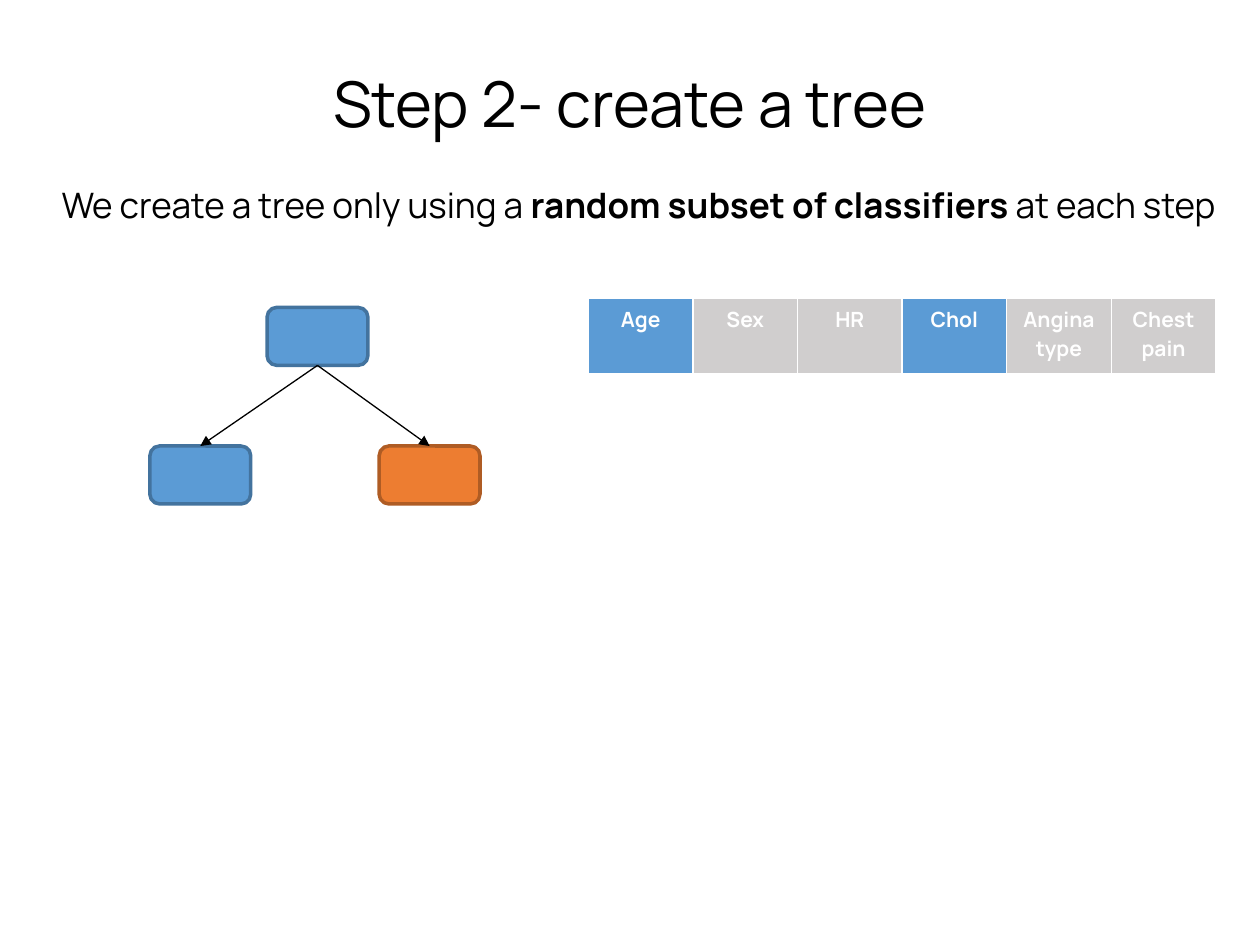
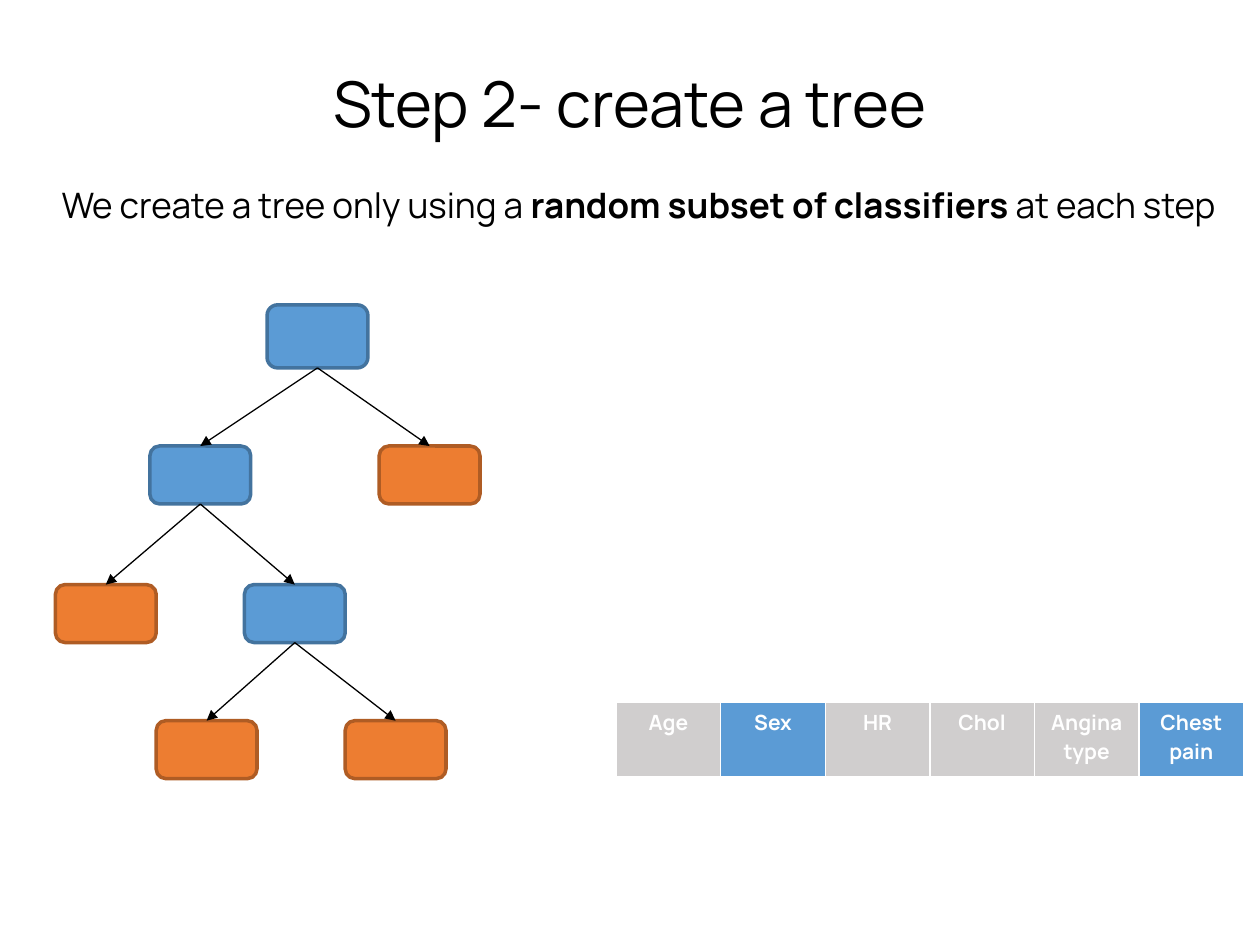
from dataclasses import dataclass

from lxml import etree
from pptx import Presentation
from pptx.dml.color import RGBColor
from pptx.enum.dml import MSO_FILL
from pptx.enum.shapes import MSO_CONNECTOR, MSO_SHAPE
from pptx.enum.text import MSO_AUTO_SIZE, PP_ALIGN
from pptx.oxml.ns import qn
from pptx.util import Inches, Pt

BLACK = RGBColor(0x00, 0x00, 0x00)
WHITE = RGBColor(0xFF, 0xFF, 0xFF)
BLUE = RGBColor(0x5B, 0x9B, 0xD5)
DARK_BLUE = RGBColor(0x43, 0x73, 0x9E)
ORANGE = RGBColor(0xED, 0x7D, 0x31)
DARK_ORANGE = RGBColor(0xAF, 0x5C, 0x24)
GREY = RGBColor(0xD0, 0xCE, 0xCE)
FONT = "Manrope"
CENTER = PP_ALIGN.CENTER
LEFT = PP_ALIGN.LEFT
FIT_SHAPE = MSO_AUTO_SIZE.SHAPE_TO_FIT_TEXT
ROUNDED = MSO_SHAPE.ROUNDED_RECTANGLE
STRAIGHT = MSO_CONNECTOR.STRAIGHT

TITLE = "Step 2- create a tree"
MESSAGE = [
    ("We create a tree only using a ", False),
    ("random subset of classifiers ", True),
    ("at each step", False),
]
CLASSIFIERS = ["Age", "Sex", "HR", "Chol", "Angina type", "Chest pain"]
COLUMN_WIDTH, ROW_HEIGHT = 0.83, 0.61
NODE_WIDTH, NODE_HEIGHT = 0.8, 0.46
TOP_SITE, BOTTOM_SITE = 0, 2
BORDERS = [("a:lnL", 0.96), ("a:lnR", 0.96), ("a:lnT", 0.96), ("a:lnB", 3)]


@dataclass
class Node:
    """A tree node: a leaf has no children."""

    center: float
    top: float
    children: tuple = ()
    leaf: bool = False
    height: float = NODE_HEIGHT


def style_span(span, size, color, bold=False):
    """Set the font of one run."""
    span.font.name = FONT
    span.font.size = Pt(size)
    span.font.bold = bold
    span.font.color.rgb = color


def add_text(page, place, spans, size, align=LEFT, wrap=True):
    """Add a one-paragraph text box made of (text, bold) spans."""
    box = page.shapes.add_textbox(*[Inches(length) for length in place])
    frame = box.text_frame
    frame.word_wrap = wrap
    frame.auto_size = FIT_SHAPE
    para = frame.paragraphs[0]
    para.alignment = align
    for text, bold in spans:
        span = para.add_run()
        span.text = text
        style_span(span, size, BLACK, bold)


def add_borders(cell):
    """Draw white borders around a table cell."""
    properties = cell._tc.get_or_add_tcPr()
    for position, (tag, width) in enumerate(BORDERS):
        line = etree.Element(qn(tag), w=str(Pt(width)))
        fill = etree.SubElement(line, qn("a:solidFill"))
        etree.SubElement(fill, qn("a:srgbClr"), val=str(WHITE))
        properties.insert(position, line)


def add_classifiers(page, left, top, chosen):
    """Add the row of classifiers with the chosen ones in blue."""
    count = len(CLASSIFIERS)
    frame = page.shapes.add_table(
        1, count, Inches(left), Inches(top),
        Inches(COLUMN_WIDTH * count), Inches(ROW_HEIGHT),
    )
    for cell, name in zip(frame.table.iter_cells(), CLASSIFIERS):
        cell.text = name
        cell.fill.solid()
        cell.fill.fore_color.rgb = BLUE if name in chosen else GREY
        para = cell.text_frame.paragraphs[0]
        para.alignment = CENTER
        style_span(para.runs[0], 12, WHITE, True)
        add_borders(cell)


def add_arrow(page, parent, child):
    """Connect the bottom of one box to the top of another."""
    arrow = page.shapes.add_connector(STRAIGHT, 0, 0, 0, 0)
    arrow.begin_connect(parent, BOTTOM_SITE)
    arrow.end_connect(child, TOP_SITE)
    arrow.line.color.rgb = BLACK
    arrow.line.width = Pt(0.75)
    etree.SubElement(arrow.line._get_or_add_ln(), qn("a:tailEnd"), type="triangle")
    etree.SubElement(arrow._element.spPr, qn("a:effectLst"))


def add_tree(page, node):
    """Add a node with everything below it and return its box."""
    box = page.shapes.add_shape(
        ROUNDED, Inches(node.center - NODE_WIDTH / 2), Inches(node.top),
        Inches(NODE_WIDTH), Inches(node.height),
    )
    box.shadow.inherit = False
    box.fill.solid()
    box.fill.fore_color.rgb = ORANGE if node.leaf else BLUE
    box.line.color.rgb = DARK_ORANGE if node.leaf else DARK_BLUE
    box.line.width = Pt(2)
    for child in node.children:
        add_arrow(page, box, add_tree(page, child))
    return box


def add_page(deck, table_place, chosen, tree):
    """Add a slide with heading, message, classifiers and tree."""
    page = deck.slides.add_slide(deck.slide_layouts[6])
    add_text(page, (0.13, 0.46, 9.74, 0.7), [(TITLE, False)], 36, CENTER)
    add_text(page, (0.39, 1.41, 9.36, 0.43), MESSAGE, 20, wrap=False)
    add_classifiers(page, *table_place, chosen)
    add_tree(page, tree)


def main():
    """Build and save the deck."""
    deck = Presentation()
    deck.slide_width, deck.slide_height = Inches(10), Inches(7.5)

    right_leaf = Node(3.41, 3.54, leaf=True)
    first_split = Node(2.52, 2.44, (Node(1.59, 3.54), right_leaf))
    add_page(deck, (4.67, 2.37), {"Age", "Chol"}, first_split)

    last_leaves = (Node(1.64, 5.72, leaf=True), Node(3.14, 5.72, leaf=True))
    third_level = (Node(0.84, 4.64, leaf=True), Node(2.34, 4.64, last_leaves))
    left_branch = Node(1.59, 3.54, third_level)
    full_tree = Node(2.52, 2.42, (left_branch, right_leaf), height=0.5)
    add_page(deck, (4.89, 5.57), {"Sex", "Chest pain"}, full_tree)

    deck.save("out.pptx")


main()
